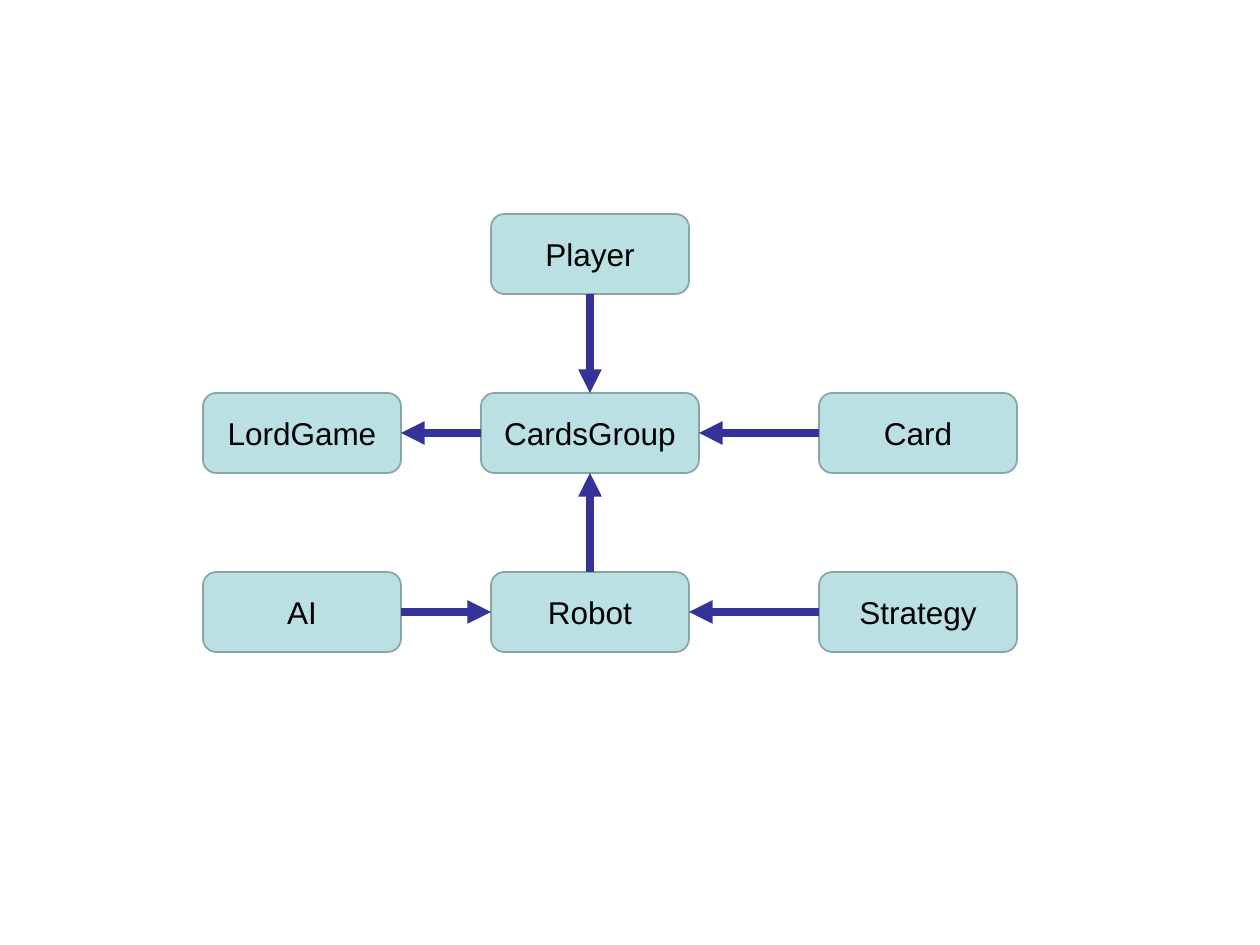
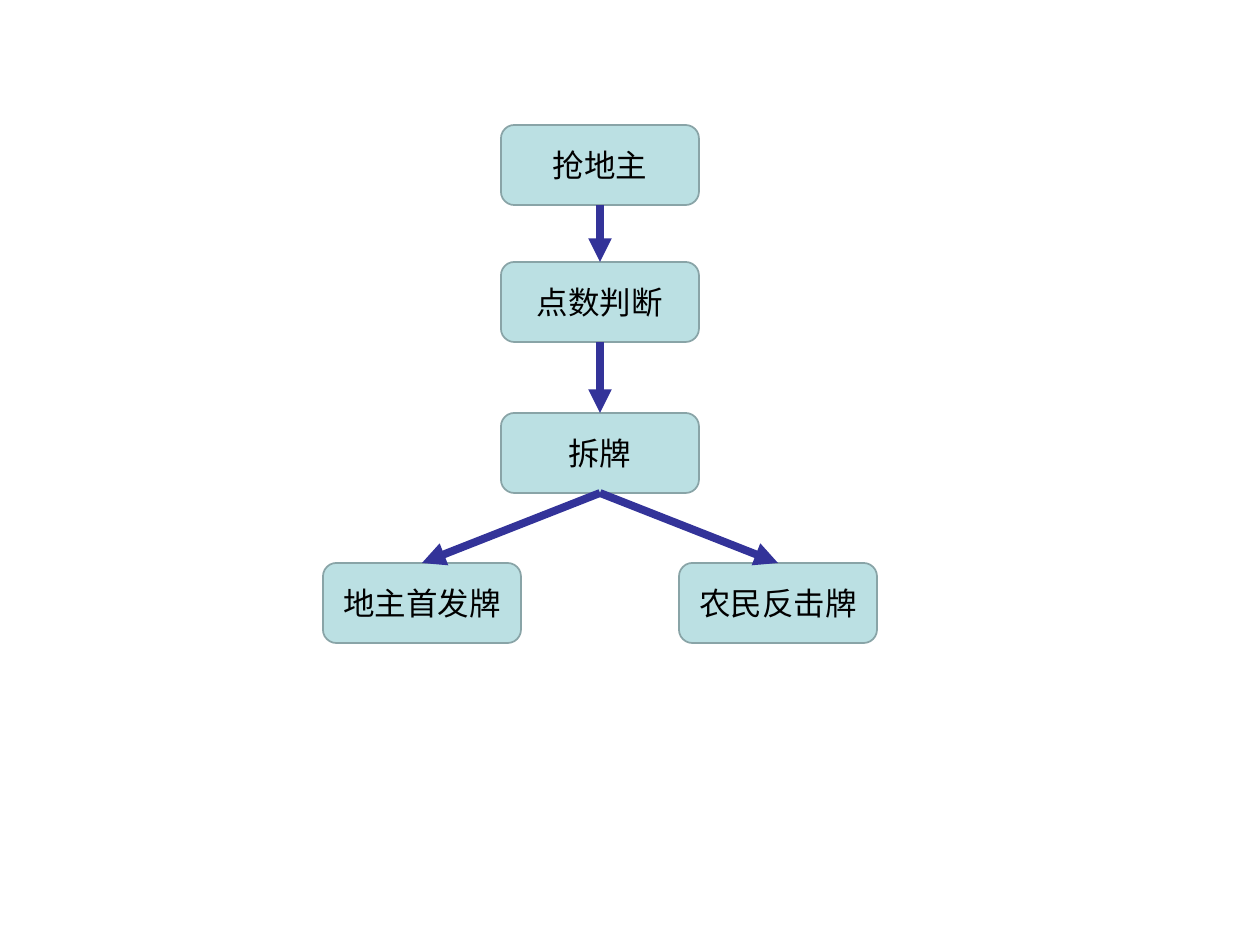
import pptx
import pptx.dml.color
import pptx.enum.shapes
import pptx.enum.text
import pptx.oxml.ns
import pptx.util
from lxml import etree

PX = pptx.util.Inches(1) // 126
PAGE_WIDTH, PAGE_HEIGHT = 1260, 945
NODE_WIDTH, NODE_HEIGHT = 198, 80
WIDE_NODE = 218
FONT = "Arial"
COLOURS = {"node": "BBE0E3", "border": "89A4A7", "arrow": "333399", "text": "000000"}
# Connection sites of a rounded rectangle
TOP, LEFT, BOTTOM, RIGHT = range(4)


def colour(name):
    return pptx.dml.color.RGBColor.from_string(COLOURS[name])


def add_node(page, label, center, top, width=NODE_WIDTH):
    """Add a labelled rounded box, centred horizontally on the given x."""
    node = page.shapes.add_shape(
        pptx.enum.shapes.MSO_SHAPE.ROUNDED_RECTANGLE,
        (center - width // 2) * PX, top * PX, width * PX, NODE_HEIGHT * PX)
    node.shadow.inherit = False
    node.fill.solid()
    node.fill.fore_color.rgb = colour("node")
    node.line.color.rgb = colour("border")
    node.line.width = pptx.util.Pt(1)
    frame = node.text_frame
    frame.word_wrap = True
    frame.vertical_anchor = pptx.enum.text.MSO_ANCHOR.MIDDLE
    para = frame.paragraphs[0]
    para.text = label
    para.alignment = pptx.enum.text.PP_ALIGN.CENTER
    para.font.name = FONT
    para.font.size = pptx.util.Pt(18)
    para.font.color.rgb = colour("text")
    return node


def add_arrow(page, source, source_site, target, target_site):
    """Join two nodes with an arrow glued to their connection sites."""
    arrow = page.shapes.add_connector(
        pptx.enum.shapes.MSO_CONNECTOR.STRAIGHT, 0, 0, 0, 0)
    arrow.begin_connect(source, source_site)
    arrow.end_connect(target, target_site)
    arrow.line.color.rgb = colour("arrow")
    arrow.line.width = pptx.util.Pt(4.5)
    qn = pptx.oxml.ns.qn
    properties = arrow._element.spPr
    etree.SubElement(properties.find(qn("a:ln")), qn("a:tailEnd"), type="triangle")
    etree.SubElement(properties, qn("a:effectLst"))


def draw_class_diagram(page, left, top):
    """Draw the classes on a grid whose first box starts at left, top."""
    first, middle, last = (left + offset for offset in (99, 387, 715))
    upper, centre, lower = (top + row * 179 for row in range(3))
    game = add_node(page, "LordGame", first, centre)
    player = add_node(page, "Player", middle, upper)
    ai = add_node(page, "AI", first, lower)
    robot = add_node(page, "Robot", middle, lower)
    strategy = add_node(page, "Strategy", last, lower)
    group = add_node(page, "CardsGroup", middle, centre, WIDE_NODE)
    card = add_node(page, "Card", last, centre)
    for link in (
        (player, BOTTOM, group, TOP),
        (card, LEFT, group, RIGHT),
        (robot, TOP, group, BOTTOM),
        (group, LEFT, game, RIGHT),
        (ai, RIGHT, robot, LEFT),
        (strategy, LEFT, robot, RIGHT),
    ):
        add_arrow(page, *link)


def draw_game_flow(page, center, top):
    """Draw a column of steps that branches into two turns at its foot."""
    branch_offset, branch_drop = 178, 438
    bid, score, split = (
        add_node(page, label, center, top + drop)
        for label, drop in (("抢地主", 0), ("点数判断", 137), ("拆牌", 288)))
    landlord, farmer = (
        add_node(page, label, center + side * branch_offset, top + branch_drop)
        for label, side in (("地主首发牌", -1), ("农民反击牌", 1)))
    for source, target in ((bid, score), (score, split),
                           (split, landlord), (split, farmer)):
        add_arrow(page, source, BOTTOM, target, TOP)


def main():
    deck = pptx.Presentation()
    deck.slide_width = PAGE_WIDTH * PX
    deck.slide_height = PAGE_HEIGHT * PX
    blank = deck.slide_layouts[6]
    draw_class_diagram(deck.slides.add_slide(blank), 203, 214)
    draw_game_flow(deck.slides.add_slide(blank), 600, 125)
    deck.save("out.pptx")


if __name__ == "__main__":
    main()
